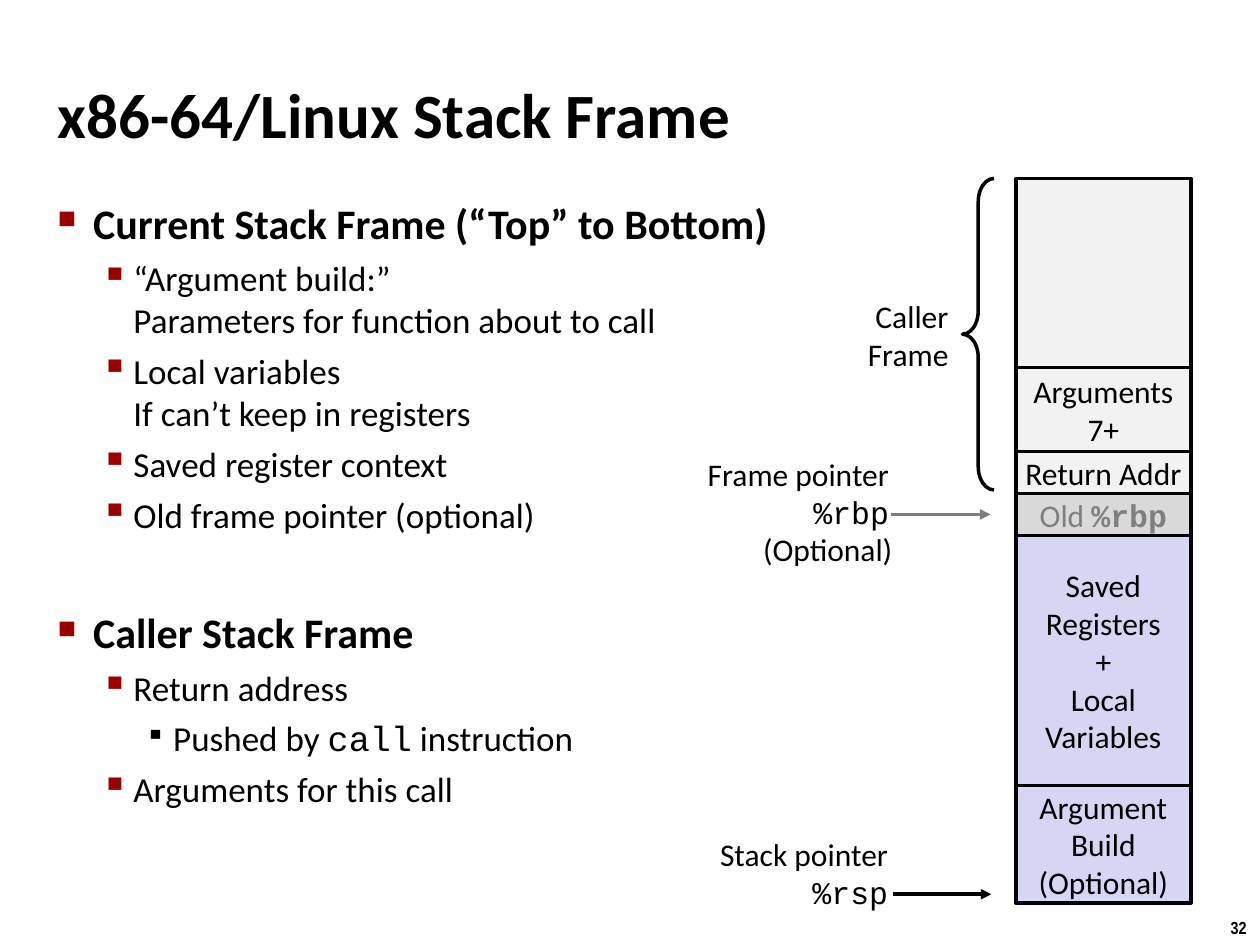
"""Build a slide on the x86-64/Linux stack frame layout."""
from lxml.etree import SubElement
from pptx import Presentation
from pptx.dml.color import RGBColor
from pptx.enum.shapes import MSO_CONNECTOR as Connector, MSO_SHAPE as Preset
from pptx.enum.text import MSO_ANCHOR as Anchor, MSO_AUTO_SIZE as AutoSize, PP_ALIGN as Align
from pptx.oxml.ns import qn
from pptx.util import Pt

COLORS = {
    "black": "000000",
    "bullet": "990000",
    "caller": "F2F2F2",
    "old": "D9D9D9",
    "frame": "D6D6F4",
    "gray": "7F7F7F",
}
SANS, MONO = "Calibri", "Courier New"

# Per outline level: left margin, hanging indent, space before, size, bold, bullet, colour, bullet percent
LEVELS = [
    (20.25, 20.25, 6, 24, True, "■", "bullet", 60),
    (43.25, 18.75, 5, 20, False, "▪", "bullet", 110),
    (66, 16, 5, 20, False, "▪", "black", 80),
]
OUTLINE = [
    (0, "Current Stack Frame (“Top” to Bottom)"),
    (1, "“Argument build:”\nParameters for function about to call"),
    (1, "Local variables\nIf can’t keep in registers"),
    (1, "Saved register context"),
    (1, "Old frame pointer (optional)"),
    (0, "Caller Stack Frame"),
    (1, "Return address"),
    (2, "Pushed by `call` instruction"),
    (1, "Arguments for this call"),
]
SECTION_GAP = 41

STACK_LEFT, STACK_TOP, STACK_WIDTH = 580.5, 102, 100
STACK = [
    (108, "caller", "black", []),
    (48, "caller", "black", ["Arguments", "7+"]),
    (24, "caller", "black", ["Return Addr"]),
    (24, "old", "gray", ["Old `%rbp`"]),
    (143, "frame", "black", ["Saved", "Registers", "+", "Local", "Variables"]),
    (67, "frame", "black", ["Argument", "Build", "(Optional)"]),
]
LABELS = [
    (491, 167, 54, 50, ["Caller", "Frame"]),
    (388, 257, 123, 48, ["Frame pointer\n`%rbp`"]),
    (390, 300, 123, 48, ["(Optional)"]),
    (394, 474, 116.5, 48, ["Stack pointer", "`%rsp`"]),
]


def rgb(name):
    """Return the named colour."""
    return RGBColor.from_string(COLORS[name])


def style(paragraph, size, color="black", bold=False, font=SANS):
    """Set the font shared by all runs of a paragraph."""
    paragraph.font.name, paragraph.font.size = font, Pt(size)
    paragraph.font.bold = bold
    paragraph.font.color.rgb = rgb(color)


def add_runs(paragraph, text, bold_code=False):
    """Write text with line breaks, setting backquoted parts in monospace."""
    for line_index, line in enumerate(text.split("\n")):
        if line_index:
            paragraph.add_line_break()
        for index, part in enumerate(line.split("`")):
            if part:
                run = paragraph.add_run()
                run.text = part
                if index % 2:
                    run.font.name = MONO
                    if bold_code:
                        run.font.bold = True


def prepare_frame(frame, inset, anchor=Anchor.TOP, wrap=True):
    """Set insets, anchor and wrapping of a text frame."""
    frame.margin_left = frame.margin_right = frame.margin_top = frame.margin_bottom = Pt(inset)
    frame.vertical_anchor, frame.word_wrap = anchor, wrap
    frame.auto_size = AutoSize.NONE


def fill_frame(frame, lines, alignment, color="black", bold_code=False):
    """Write one 18-point paragraph per line."""
    for index, line in enumerate(lines):
        paragraph = frame.add_paragraph() if index else frame.paragraphs[0]
        paragraph.alignment = alignment
        style(paragraph, 18, color)
        add_runs(paragraph, line, bold_code)


def set_title(slide, text):
    """Place and format the title placeholder."""
    title = slide.shapes.title
    title.left, title.top, title.width, title.height = Pt(30), Pt(20), Pt(660), Pt(90)
    prepare_frame(title.text_frame, 3, Anchor.MIDDLE)
    paragraph = title.text_frame.paragraphs[0]
    paragraph.alignment = Align.LEFT
    style(paragraph, 36, bold=True)
    add_runs(paragraph, text)


def add_bullet(paragraph, level):
    """Give a paragraph the indent, bullet and font of its level."""
    margin, hanging, space, size, bold, character, color, percent = LEVELS[level]
    paragraph.level = level
    paragraph.space_before = Pt(space)
    properties = paragraph._p.get_or_add_pPr()
    properties.set("marL", str(Pt(margin)))
    properties.set("indent", str(-Pt(hanging)))
    bullet_color = SubElement(properties, qn("a:buClr"))
    SubElement(bullet_color, qn("a:srgbClr"), val=COLORS[color])
    SubElement(properties, qn("a:buSzPct"), val=str(percent * 1000))
    SubElement(properties, qn("a:buChar"), char=character)
    style(paragraph, size, bold=bold)


def add_outline(slide):
    """Add the bulleted outline."""
    frame = slide.shapes.add_textbox(Pt(30), Pt(110), Pt(423), Pt(428)).text_frame
    prepare_frame(frame, 3)
    for index, (level, text) in enumerate(OUTLINE):
        paragraph = frame.add_paragraph() if index else frame.paragraphs[0]
        add_bullet(paragraph, level)
        add_runs(paragraph, text)
        if level == 0:
            paragraph.space_before = Pt(SECTION_GAP if index else 0)


def add_stack(slide):
    """Add the stacked memory blocks from top to bottom."""
    top = STACK_TOP
    for height, fill, color, lines in STACK:
        block = slide.shapes.add_shape(
            Preset.RECTANGLE, Pt(STACK_LEFT), Pt(top), Pt(STACK_WIDTH), Pt(height))
        block.shadow.inherit = False
        block.fill.solid()
        block.fill.fore_color.rgb = rgb(fill)
        block.line.color.rgb, block.line.width = rgb("black"), Pt(2)
        prepare_frame(block.text_frame, 0, Anchor.MIDDLE)
        fill_frame(block.text_frame, lines, Align.CENTER, color, bold_code=True)
        top += height


def add_brace(slide):
    """Add the brace that spans the caller frame."""
    brace = slide.shapes.add_shape(Preset.LEFT_BRACE, Pt(550), Pt(STACK_TOP), Pt(18), Pt(178))
    brace.adjustments[0], brace.adjustments[1] = 0.74, 0.5
    brace.shadow.inherit = False
    brace.fill.background()
    brace.line.color.rgb, brace.line.width = rgb("black"), Pt(2)


def add_label(slide, left, top, width, height, lines):
    """Add a right-aligned label."""
    frame = slide.shapes.add_textbox(Pt(left), Pt(top), Pt(width), Pt(height)).text_frame
    prepare_frame(frame, 3)
    fill_frame(frame, lines, Align.RIGHT)


def add_arrow(slide, start, end, y, color):
    """Add a horizontal pointer arrow."""
    arrow = slide.shapes.add_connector(Connector.STRAIGHT, Pt(start), Pt(y), Pt(end), Pt(y))
    arrow.line.color.rgb, arrow.line.width = rgb(color), Pt(2)
    SubElement(arrow.line._get_or_add_ln(), qn("a:tailEnd"), type="triangle")
    SubElement(arrow._element.spPr, qn("a:effectLst"))


def add_page_number(slide, number):
    """Add the page number in the corner."""
    frame = slide.shapes.add_textbox(Pt(695.5), Pt(520.5), Pt(24.5), Pt(19.5)).text_frame
    prepare_frame(frame, 3.6, wrap=False)
    paragraph = frame.paragraphs[0]
    paragraph.alignment = Align.CENTER
    style(paragraph, 10, bold=True, font="Arial Narrow")
    add_runs(paragraph, number)


def main():
    """Assemble and save the slide."""
    presentation = Presentation()
    presentation.slide_width, presentation.slide_height = Pt(720), Pt(540)
    slide = presentation.slides.add_slide(presentation.slide_layouts[5])
    set_title(slide, "x86-64/Linux Stack Frame")
    add_outline(slide)
    add_stack(slide)
    add_brace(slide)
    for label in LABELS:
        add_label(slide, *label)
    add_arrow(slide, 509, 566, 294, "gray")
    add_arrow(slide, 510.5, 566.5, 511, "black")
    add_page_number(slide, "32")
    presentation.save("out.pptx")


if __name__ == "__main__":
    main()
